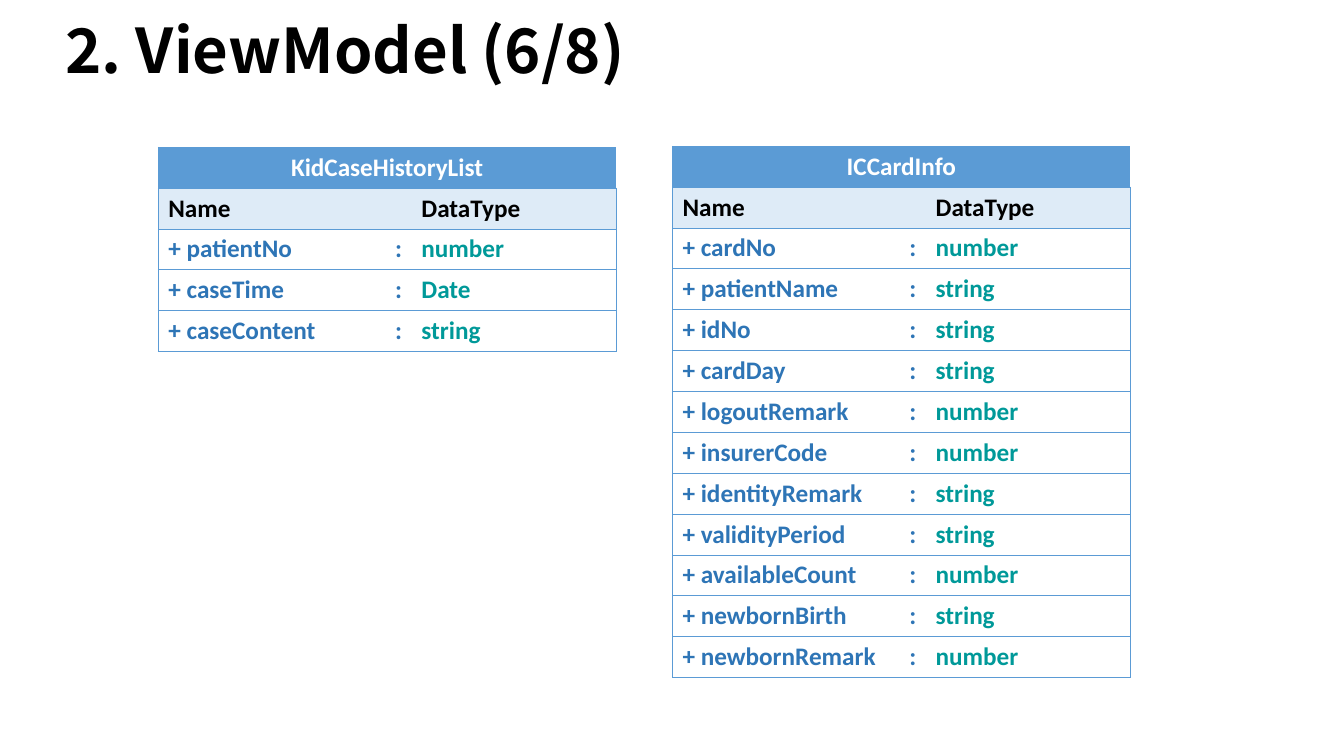
from lxml.etree import SubElement
from pptx import Presentation
from pptx.dml.color import RGBColor
from pptx.enum.text import MSO_ANCHOR, PP_ALIGN
from pptx.oxml.ns import qn
from pptx.util import Inches, Pt

COLORS = {
    "title": "000000",
    "heading": "FFFFFF",
    "label": "000000",
    "name": "2E75B6",
    "type": "009999",
    "line": "5B9BD5",
    "band": "DEEBF7",
    "paper": "FFFFFF",
}
NO_GRID_STYLE = "{2D5ABB26-0587-4C30-8999-92F81FD0307C}"
COL_WIDTHS = (2.25, 0.26, 2.03)
ROW_HEIGHT = 0.4

IC_CARD_FIELDS = [
    ("cardNo", "number"),
    ("patientName", "string"),
    ("idNo", "string"),
    ("cardDay", "string"),
    ("logoutRemark", "number"),
    ("insurerCode", "number"),
    ("identityRemark", "string"),
    ("validityPeriod", "string"),
    ("availableCount", "number"),
    ("newbornBirth", "string"),
    ("newbornRemark", "number"),
]
CASE_HISTORY_FIELDS = [
    ("patientNo", "number"),
    ("caseTime", "Date"),
    ("caseContent", "string"),
]


def rgb(key):
    return RGBColor.from_string(COLORS[key])


class SlideBuilder:
    title_font = "Noto Sans CJK SC"
    table_font = "Calibri"

    def __init__(self, prs):
        self.slide = prs.slides.add_slide(prs.slide_layouts[5])

    def format_text(self, p, font, size, color):
        p.font.name = font
        p.font.size = Pt(size)
        p.font.bold = True
        p.font.color.rgb = rgb(color)

    def title(self, text):
        sp = self.slide.shapes.title
        sp.left, sp.top = Inches(0.55), Inches(0.14)
        sp.width, sp.height = Inches(12.17), Inches(0.78)
        tf = sp.text_frame
        tf.text = text
        tf.word_wrap = True
        tf.vertical_anchor = MSO_ANCHOR.MIDDLE
        p = tf.paragraphs[0]
        p.alignment = PP_ALIGN.LEFT
        p.line_spacing = 0.9
        self.format_text(p, self.title_font, 44, "title")

    def borders(self, cell, sides):
        """Draw thin lines on the given sides, in the order L, R, T, B."""
        for side in sides:
            ln = SubElement(cell._tc.get_or_add_tcPr(), qn(f"a:ln{side}"), w=str(Pt(0.5)))
            fill = SubElement(ln, qn("a:solidFill"))
            SubElement(fill, qn("a:srgbClr"), val=COLORS["line"])

    def cell(self, cell, text, color, fill, sides):
        self.borders(cell, sides)
        cell.fill.solid()
        cell.fill.fore_color.rgb = rgb(fill)
        cell.text = text
        self.format_text(cell.text_frame.paragraphs[0], self.table_font, 18, color)

    def model_table(self, left, top, name, fields):
        """Table with a merged heading, a label row and one row per field."""
        rows = [((name, "", ""), ("heading",) * 3, "line"),
                (("Name", "", "DataType"), ("label",) * 3, "band")]
        rows += [((f"+ {field}", ":", kind), ("name", "name", "type"), "paper")
                 for field, kind in fields]
        frame = self.slide.shapes.add_table(
            len(rows), len(COL_WIDTHS), Inches(left), Inches(top),
            Inches(sum(COL_WIDTHS)), Inches(ROW_HEIGHT * len(rows)))
        table = frame.table
        table._tbl.tblPr.find(qn("a:tableStyleId")).text = NO_GRID_STYLE
        for col, width in zip(table.columns, COL_WIDTHS):
            col.width = Inches(width)
        for r, (texts, colors, fill) in enumerate(rows):
            table.rows[r].height = Inches(ROW_HEIGHT)
            for c, (text, color) in enumerate(zip(texts, colors)):
                self.cell(table.cell(r, c), text, color, fill, ("LTB", "TB", "RTB")[c])
        heading = table.cell(0, 0)
        heading.merge(table.cell(0, 2))
        heading.text_frame.paragraphs[0].alignment = PP_ALIGN.CENTER


def main():
    prs = Presentation()
    prs.slide_width, prs.slide_height = Inches(13.33), Inches(7.5)
    s = SlideBuilder(prs)
    s.title("2. ViewModel (6/8)")
    s.model_table(6.67, 1.45, "ICCardInfo", IC_CARD_FIELDS)
    s.model_table(1.57, 1.46, "KidCaseHistoryList", CASE_HISTORY_FIELDS)
    prs.save("out.pptx")


if __name__ == "__main__":
    main()
